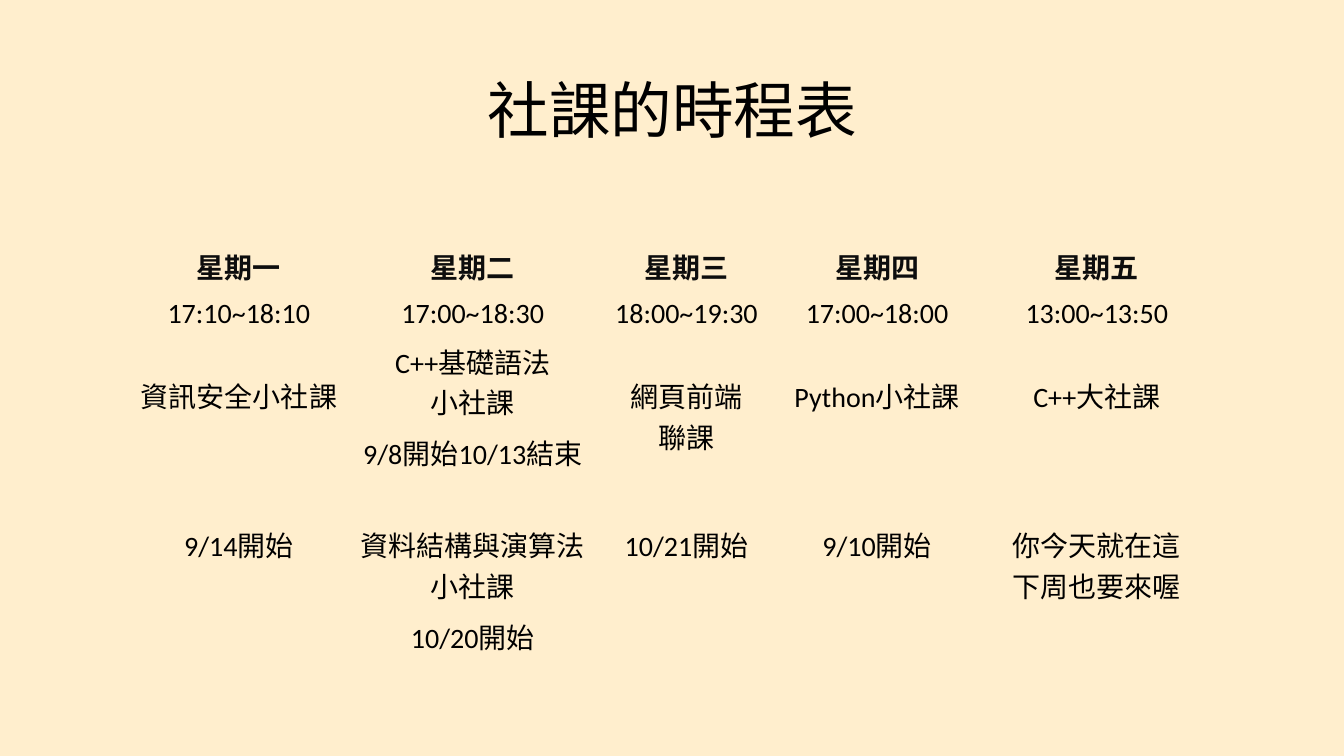
from pptx import Presentation
from pptx.dml.color import RGBColor
from pptx.enum.text import MSO_ANCHOR, PP_ALIGN
from pptx.util import Inches, Pt

CENTER = PP_ALIGN.CENTER
MIDDLE = MSO_ANCHOR.MIDDLE
CREAM = RGBColor(0xFF, 0xEE, 0xCD)
BLACK = RGBColor(0, 0, 0)
HEADER_INK = RGBColor(0x0D, 0x0D, 0x0D)
FONT = "Calibri"
NO_STYLE_NO_GRID = "{2D5ABB26-0587-4C30-8999-92F81FD0307C}"

COLUMN_WIDTHS = [2.18, 2.46, 1.78, 2, 2.36]
ROW_HEIGHTS = [0.5, 0.44, 0.91, 0.91, 0.91, 0.5]
SCHEDULE = [
    ["星期一", "星期二", "星期三", "星期四", "星期五"],
    ["17:10~18:10", "17:00~18:30", "18:00~19:30", "17:00~18:00", "13:00~13:50"],
    ["資訊安全小社課", "C++基礎語法\n小社課", "網頁前端\n聯課", "Python小社課", "C++大社課"],
    ["", "9/8開始10/13結束", "", "", ""],
    ["9/14開始", "資料結構與演算法\n小社課", "10/21開始", "9/10開始", "你今天就在這\n下周也要來喔"],
    ["", "10/20開始", "", "", ""],
]
COURSE_ROW, START_ROW = 2, 4
TUESDAY = 1


def style_paragraphs(text_frame, size, color, bold=False):
    for paragraph in text_frame.paragraphs:
        paragraph.alignment = CENTER
        paragraph.font.name = FONT
        paragraph.font.size = Pt(size)
        paragraph.font.bold = bold
        paragraph.font.color.rgb = color


prs = Presentation()
prs.slide_width = Inches(13.33)
prs.slide_height = Inches(7.5)
slide = prs.slides.add_slide(prs.slide_layouts[6])
slide.background.fill.solid()
slide.background.fill.fore_color.rgb = CREAM

title = slide.shapes.add_textbox(Inches(0.92), Inches(0.4), Inches(11.5), Inches(1.45)).text_frame
title.word_wrap = True
title.vertical_anchor = MIDDLE
title.text = "社課的時程表"
title.paragraphs[0].line_spacing = 0.9
style_paragraphs(title, 44, BLACK)

timetable = slide.shapes.add_table(
    len(ROW_HEIGHTS), len(COLUMN_WIDTHS),
    Inches(1.28), Inches(2.39), Inches(sum(COLUMN_WIDTHS)), Inches(sum(ROW_HEIGHTS)),
).table
timetable.first_row = False
timetable.horz_banding = False
timetable._tbl.tblPr[0].text = NO_STYLE_NO_GRID

for column, width in zip(timetable.columns, COLUMN_WIDTHS):
    column.width = Inches(width)
for row, height in zip(timetable.rows, ROW_HEIGHTS):
    row.height = Inches(height)

for r, entries in enumerate(SCHEDULE):
    for c, entry in enumerate(entries):
        cell = timetable.cell(r, c)
        cell.fill.solid()
        cell.fill.fore_color.rgb = CREAM
        if entry:
            cell.text = entry
        style_paragraphs(cell.text_frame, 20, BLACK if r else HEADER_INK, bold=r == 0)
        if c != TUESDAY and r in (COURSE_ROW, START_ROW):
            cell.merge(timetable.cell(r + 1, c))
            if r == COURSE_ROW:
                cell.margin_top = Inches(0.39)

prs.save("out.pptx")
